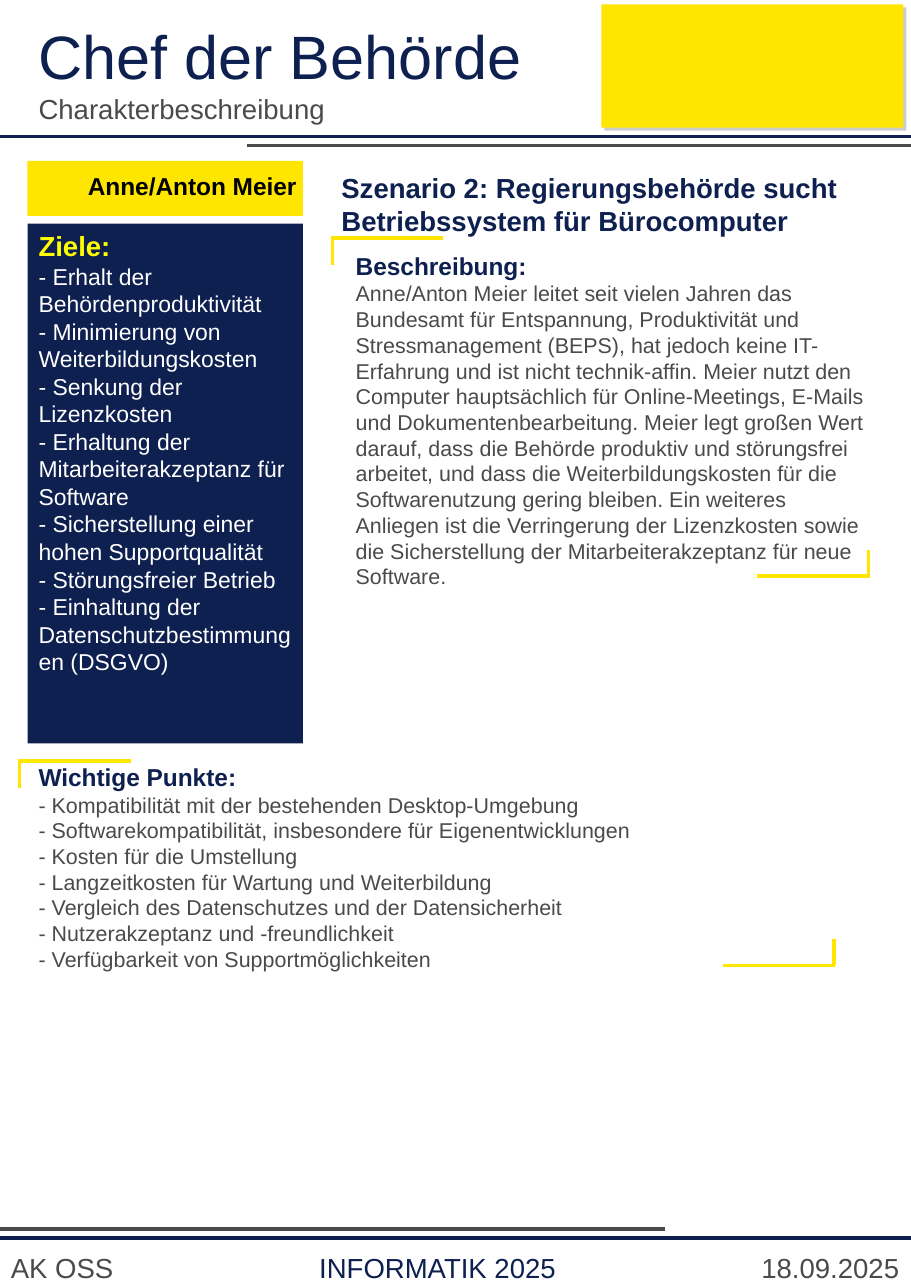
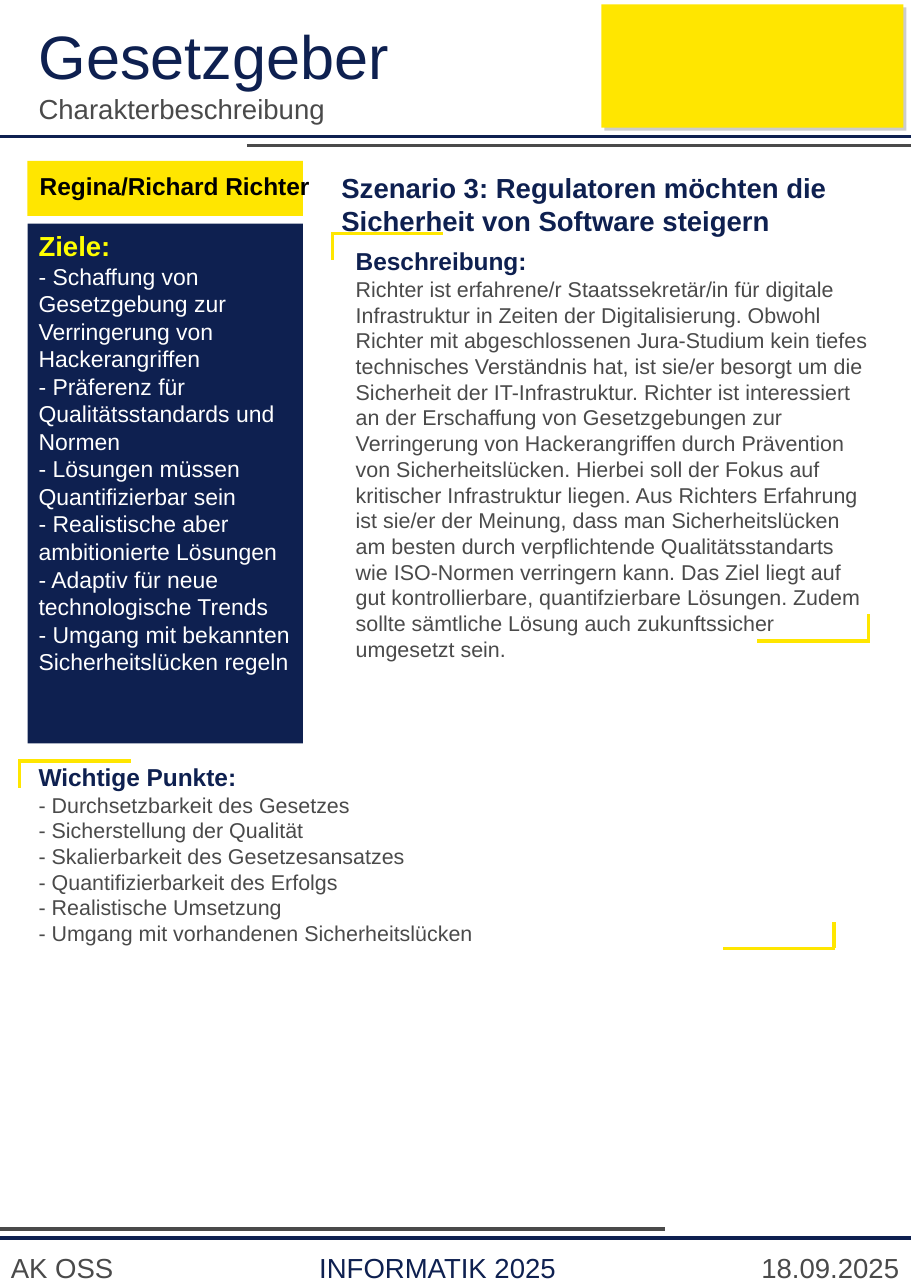
"""Build two A4 character sheets for a role play."""
from dataclasses import dataclass

from lxml.etree import SubElement as Sub
from pptx import Presentation
from pptx.dml.color import RGBColor as RGB
from pptx.enum.shapes import MSO_CONNECTOR as Conn, MSO_SHAPE as Form
from pptx.enum.text import MSO_ANCHOR as Anchor, MSO_AUTO_SIZE as Auto, PP_ALIGN as Align
from pptx.oxml.ns import qn
from pptx.util import Inches, Pt

NAVY = RGB(0x0E, 0x20, 0x50)
GOLD = RGB(0xFF, 0xE6, 0x00)
GRAY = RGB(0x4A, 0x4A, 0x4A)
LEMON = RGB(0xFF, 0xFF, 0x00)
WHITE = RGB(0xFF, 0xFF, 0xFF)
BLACK = RGB(0x00, 0x00, 0x00)
FONT = "Arial"
WIDE, HIGH = Inches(8.27), Inches(11.69)
COLS, ROWS = 210, 297
EDGE = 6.35
SIDE = 63.5


@dataclass
class Role:
    """Hold the content of one sheet and the places that vary with it."""
    title: str
    name: str
    name_x: float
    scene: str
    about: str
    about_y: float
    about_end: float
    goals: list
    points: list
    points_end: float


ROLES = [
    Role(
        "Chef der Behörde", "Anne/Anton Meier", EDGE,
        "Szenario 2: Regierungsbehörde sucht Betriebssystem für Bürocomputer",
        "Anne/Anton Meier leitet seit vielen Jahren das Bundesamt für Entspannung, "
        "Produktivität und Stressmanagement (BEPS), hat jedoch keine IT-Erfahrung und ist "
        "nicht technik-affin. Meier nutzt den Computer hauptsächlich für Online-Meetings, "
        "E-Mails und Dokumentenbearbeitung. Meier legt großen Wert darauf, dass die Behörde "
        "produktiv und störungsfrei arbeitet, und dass die Weiterbildungskosten für die "
        "Softwarenutzung gering bleiben. Ein weiteres Anliegen ist die Verringerung der "
        "Lizenzkosten sowie die Sicherstellung der Mitarbeiterakzeptanz für neue Software.",
        54.9, 132.85,
        ["Erhalt der Behördenproduktivität", "Minimierung von Weiterbildungskosten",
         "Senkung der Lizenzkosten", "Erhaltung der Mitarbeiterakzeptanz für Software",
         "Sicherstellung einer hohen Supportqualität", "Störungsfreier Betrieb",
         "Einhaltung der Datenschutzbestimmungen (DSGVO)"],
        ["Kompatibilität mit der bestehenden Desktop-Umgebung",
         "Softwarekompatibilität, insbesondere für Eigenentwicklungen",
         "Kosten für die Umstellung", "Langzeitkosten für Wartung und Weiterbildung",
         "Vergleich des Datenschutzes und der Datensicherheit",
         "Nutzerakzeptanz und -freundlichkeit", "Verfügbarkeit von Supportmöglichkeiten"],
        222.6),
    Role(
        "Gesetzgeber", "Regina/Richard Richter", 2.3,
        "Szenario 3: Regulatoren möchten die Sicherheit von Software steigern",
        "Richter ist erfahrene/r Staatssekretär/in für digitale Infrastruktur in Zeiten der "
        "Digitalisierung. Obwohl Richter mit abgeschlossenen Jura-Studium kein tiefes "
        "technisches Verständnis hat, ist sie/er besorgt um die Sicherheit der "
        "IT-Infrastruktur. Richter ist interessiert an der Erschaffung von Gesetzgebungen "
        "zur Verringerung von Hackerangriffen durch Prävention von Sicherheitslücken. "
        "Hierbei soll der Fokus auf kritischer Infrastruktur liegen. Aus Richters Erfahrung "
        "ist sie/er der Meinung, dass man Sicherheitslücken am besten durch verpflichtende "
        "Qualitätsstandarts wie ISO-Normen verringern kann. Das Ziel liegt auf gut "
        "kontrollierbare, quantifzierbare Lösungen. Zudem sollte sämtliche Lösung auch "
        "zukunftssicher umgesetzt sein.",
        53.85, 147.8,
        ["Schaffung von Gesetzgebung zur Verringerung von Hackerangriffen",
         "Präferenz für Qualitätsstandards und Normen",
         "Lösungen müssen Quantifizierbar sein", "Realistische aber ambitionierte Lösungen",
         "Adaptiv für neue technologische Trends",
         "Umgang mit bekannten Sicherheitslücken regeln"],
        ["Durchsetzbarkeit des Gesetzes", "Sicherstellung der Qualität",
         "Skalierbarkeit des Gesetzesansatzes", "Quantifizierbarkeit des Erfolgs",
         "Realistische Umsetzung", "Umgang mit vorhandenen Sicherheitslücken"],
        218.7),
]


def col(n):
    """Turn grid columns into a length."""
    return round(WIDE * n / COLS)


def row(n):
    """Turn grid rows into a length."""
    return round(HIGH * n / ROWS)


def area(x, y, w, h):
    """Turn a grid area into left, top, width and height."""
    return col(x), row(y), col(w), row(h)


def block(slide, *cells):
    """Add a plain gold block."""
    box = slide.shapes.add_shape(Form.RECTANGLE, *area(*cells))
    box.shadow.inherit = False
    box.fill.solid()
    box.fill.fore_color.rgb = GOLD
    box.line.fill.background()
    return box


def shade(box):
    """Cast a light gray shadow to the lower right."""
    fx = box._element.spPr.find(qn("a:effectLst"))
    cast = Sub(fx, qn("a:outerShdw"), dist=str(Pt(2.8)), dir="2700000",
               algn="tl", rotWithShape="0")
    Sub(cast, qn("a:srgbClr"), val="CCCCCC")


def line(slide, x1, y1, x2, y2, color):
    """Draw a straight rule."""
    rule = slide.shapes.add_connector(Conn.STRAIGHT, col(x1), row(y1), col(x2), row(y2))
    rule.line.color.rgb = color
    rule.line.width = Pt(2.3)
    Sub(rule._element.spPr, qn("a:effectLst"))


def corner(slide, x, y, way):
    """Draw a gold bracket: way 1 opens to the lower right, -1 to the upper left."""
    line(slide, x - way * 0.3, y, x + way * 25.6, y, GOLD)
    line(slide, x, y, x, y + way * 6.1, GOLD)


def write(frame, parts, align=Align.LEFT, wrap=True):
    """Write parts of text, size, colour and weight as paragraphs."""
    frame.word_wrap = wrap
    frame.auto_size = Auto.NONE
    frame.vertical_anchor = Anchor.TOP
    frame.text = "\n".join(part[0] for part in parts)
    for para, (_, size, color, bold) in zip(frame.paragraphs, parts):
        para.alignment = align
        para.space_before = Pt(0)
        props = para._p.get_or_add_pPr()
        props.set("marL", "0")
        props.set("indent", "0")
        Sub(props, qn("a:buNone"))
        for run in para.runs:
            font = run.font
            font.name, font.size, font.bold = FONT, Pt(size), bold
            font.color.rgb = color


def label(slide, cells, parts, **style):
    """Add a text box."""
    write(slide.shapes.add_textbox(*area(*cells)).text_frame, parts, **style)


def place(holder, cells, parts):
    """Move a placeholder and write into it."""
    holder.left, holder.top, holder.width, holder.height = area(*cells)
    write(holder.text_frame, parts)


def items(texts, size, color):
    """Make dashed list parts."""
    return [(f"- {text}", size, color, False) for text in texts]


def frame(slide):
    """Add the header and footer that all sheets share."""
    shade(block(slide, 138.65, 1, 69.6, 28.45))
    line(slide, 0, 31.5, COLS, 31.5, NAVY)
    line(slide, 56.9, 33.5, COLS, 33.5, GRAY)
    line(slide, 0, 283.45, 153.4, 283.45, GRAY)
    line(slide, 0, 285.5, COLS, 285.5, NAVY)
    for text, x, w, color in (("AK OSS", 0, 28.7, GRAY),
                              ("INFORMATIK 2025", 71.1, 59.7, NAVY),
                              ("18.09.2025", 173, 36.8, GRAY)):
        label(slide, (x, 287.25, w, 9.65), [(text, 18, color, False)], wrap=False)


def sheet(deck, role):
    """Build one character sheet."""
    slide = deck.slides.add_slide(deck.slide_layouts[3])
    title, goals, points = slide.placeholders
    frame(slide)
    place(title, (EDGE, 3.05, 127, 25.4),
          [(role.title, 40, NAVY, False), ("Charakterbeschreibung", 18, GRAY, False)])

    block(slide, EDGE, 37.1, SIDE, 12.7)
    label(slide, (role.name_x, 38.1, 75.95, 16.8),
          [(role.name, 16, BLACK, True)], align=Align.CENTER)
    goals.fill.solid()
    goals.fill.fore_color.rgb = NAVY
    place(goals, (EDGE, 51.55, SIDE, 119.9),
          [("Ziele:", 18, LEMON, True)] + items(role.goals, 15, WHITE))

    label(slide, (76.2, 38.1, 133.35, 16.8), [(role.scene, 18, NAVY, True)])
    corner(slide, 76.6, role.about_y, 1)
    corner(slide, 200.2, role.about_end, -1)
    label(slide, (79.5, role.about_y + 1.75, 123.7, 97.8),
          [("Beschreibung:", 16, NAVY, True), (role.about, 14, GRAY, False)])

    corner(slide, 4.5, 175.5, 1)
    corner(slide, 192.3, role.points_end, -1)
    place(points, (EDGE, 174.5, 191.5, 63.75),
          [("Wichtige Punkte:", 16, NAVY, True)] + items(role.points, 14, GRAY))


def main():
    """Build and save the deck."""
    deck = Presentation()
    deck.slide_width, deck.slide_height = WIDE, HIGH
    for role in ROLES:
        sheet(deck, role)
    deck.save("out.pptx")


main()
